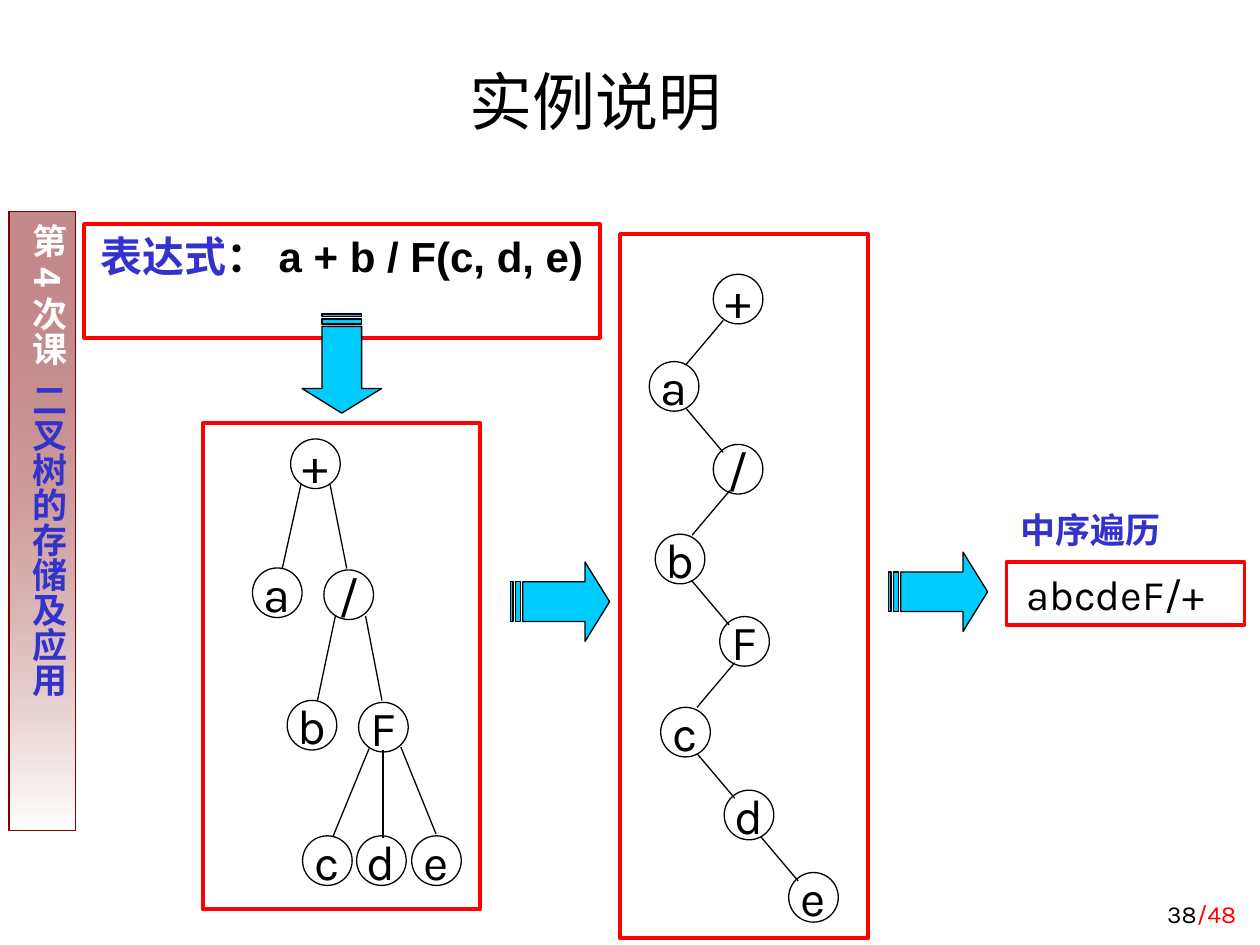
"""Build a slide on traversing an expression tree in its binary form."""
from dataclasses import dataclass

from lxml import etree
from pptx import Presentation
from pptx.dml.color import RGBColor
from pptx.enum.shapes import MSO_CONNECTOR, MSO_SHAPE
from pptx.enum.text import MSO_ANCHOR, PP_ALIGN
from pptx.oxml.ns import qn
from pptx.util import Cm, Pt

RECTANGLE = MSO_SHAPE.RECTANGLE
ELLIPSE = MSO_SHAPE.OVAL
STRIPED_ARROW = MSO_SHAPE.STRIPED_RIGHT_ARROW
STRAIGHT = MSO_CONNECTOR.STRAIGHT
TOP, MIDDLE, BOTTOM = MSO_ANCHOR.TOP, MSO_ANCHOR.MIDDLE, MSO_ANCHOR.BOTTOM
LEFT, CENTER, RIGHT = PP_ALIGN.LEFT, PP_ALIGN.CENTER, PP_ALIGN.RIGHT


@dataclass(frozen=True)
class Theme:
    """Colours, fonts and sizes of the slide."""

    black: str = "000000"
    white: str = "FFFFFF"
    red: str = "FF0000"
    blue: str = "3333CC"
    cyan: str = "00CCFF"
    maroon: str = "800000"
    body: str = "Karla"
    formula: str = "Arial"
    chinese: str = "Noto Sans CJK SC"
    title_size: int = 36
    node_size: int = 28
    text_size: int = 24
    label_size: int = 20
    number_size: int = 14
    thin: float = 0.75
    thick: float = 2.25
    node: float = 1.0
    insets: tuple = (0.25, 0.13, 0.25, 0.13)


class SlideBuilder:
    """Hold the theme and the current slide, and draw each kind of element."""

    def __init__(self, slide, theme):
        self.slide = slide
        self.theme = theme

    def set_text(self, shape, runs, size, name=None, bold=False, align=CENTER,
                 anchor=TOP, insets=None, wrap=True, before=0):
        """Fill a shape with one paragraph of (text, colour) runs."""
        frame = shape.text_frame
        frame.word_wrap = wrap
        frame.vertical_anchor = anchor
        margins = self.theme.insets if insets is None else insets
        (frame.margin_left, frame.margin_top,
         frame.margin_right, frame.margin_bottom) = map(Cm, margins)
        paragraph = frame.paragraphs[0]
        paragraph.alignment = align
        paragraph.space_before = Pt(before)
        paragraph.font.name = name or self.theme.body
        paragraph.font.size = Pt(size)
        paragraph.font.bold = bold
        latin = paragraph._p.find(".//" + qn("a:latin"))
        east_asian = etree.Element(qn("a:ea"), typeface=self.theme.chinese)
        latin.addnext(east_asian)
        for text, color in runs:
            run = paragraph.add_run()
            run.text = text
            run.font.color.rgb = RGBColor.from_string(color)
        return paragraph

    def title(self, text, box):
        """Move and format the title placeholder."""
        shape = self.slide.shapes.title
        shape.left, shape.top, shape.width, shape.height = map(Cm, box)
        self.set_text(shape, [(text, self.theme.black)], self.theme.title_size,
                      anchor=BOTTOM)

    def text(self, runs, box, size, **style):
        """Add a text box."""
        shape = self.slide.shapes.add_textbox(*map(Cm, box))
        self.set_text(shape, runs, size, anchor=BOTTOM, **style)

    def shape(self, kind, box, line, width, fill=None):
        """Add an outlined shape, filled if a fill colour is given."""
        shape = self.slide.shapes.add_shape(kind, *map(Cm, box))
        shape.shadow.inherit = False
        shape.line.color.rgb = RGBColor.from_string(line)
        shape.line.width = Pt(width)
        if fill:
            shape.fill.solid()
            shape.fill.fore_color.rgb = RGBColor.from_string(fill)
        else:
            shape.fill.background()
        return shape

    def frame(self, box):
        """Add a red frame."""
        return self.shape(RECTANGLE, box, self.theme.red, self.theme.thick)

    def node(self, label, x, y):
        """Add a tree node centred on a point."""
        size = self.theme.node
        box = (x - size / 2, y - size / 2, size, size)
        shape = self.shape(ELLIPSE, box, self.theme.black, self.theme.thin)
        self.set_text(shape, [(label, self.theme.black)], self.theme.node_size,
                      anchor=MIDDLE, insets=(0, 0, 0, 0), wrap=False)

    def edge(self, *ends):
        """Add a tree edge from x, y to x, y."""
        line = self.slide.shapes.add_connector(STRAIGHT, *map(Cm, ends))
        line.line.color.rgb = RGBColor.from_string(self.theme.black)
        line.line.width = Pt(self.theme.thin)
        etree.SubElement(line._element.spPr, qn("a:effectLst"))

    def arrow(self, x, y, rotation=0):
        """Add a striped block arrow."""
        shape = self.shape(STRIPED_ARROW, (x, y, 2, 1.6), self.theme.black,
                           self.theme.thin, self.theme.cyan)
        shape.adjustments[0] = 0.5
        shape.adjustments[1] = 0.31
        shape.rotation = rotation

    def sidebar(self, lesson, topic, box):
        """Add the vertical banner that fades to white."""
        theme = self.theme
        shape = self.shape(RECTANGLE, box, theme.maroon, theme.thin)
        shape.fill.gradient()
        shape.fill.gradient_angle = 270
        for stop, color in zip(shape.fill.gradient_stops, (theme.maroon, theme.white)):
            stop.color.rgb = RGBColor.from_string(color)
        first_color = shape._element.spPr.find(".//" + qn("a:srgbClr"))
        etree.SubElement(first_color, qn("a:alpha"), val="46000")
        runs = [(lesson, theme.white), (" ", theme.white), (topic, theme.blue)]
        paragraph = self.set_text(shape, runs, theme.label_size, theme.chinese,
                                  bold=True, insets=(0.13, 0.25, 0.13, 0.25))
        paragraph.runs[1]._r.get_or_add_rPr().set("spc", "450")
        shape.text_frame._txBody.bodyPr.set("vert", "eaVert")


TREE_NODES = [
    ("+", 6.36, 9.35), ("a", 5.59, 11.95), ("/", 7.03, 11.99),
    ("b", 6.29, 14.62), ("F", 7.73, 14.66),
    ("c", 6.6, 17.35), ("d", 7.69, 17.35), ("e", 8.8, 17.35),
]
TREE_EDGES = [
    (6.07, 9.75, 5.69, 11.46), (6.65, 9.75, 6.99, 11.46),
    (6.76, 12.42, 6.4, 14.12), (7.37, 12.42, 7.7, 14.12),
    (7.44, 15.09, 6.71, 16.87), (8.08, 15.06, 8.79, 16.81),
    (7.72, 15.11, 7.72, 16.89),
]
BINARY_NODES = [
    ("+", 14.88, 6.03, -0.3), ("a", 13.59, 7.79, 0.23),
    ("/", 14.88, 9.46, -0.17), ("b", 13.71, 11.27, 0.23),
    ("F", 15.01, 12.93, -0.2), ("c", 13.82, 14.76, 0.23),
    ("d", 15.1, 16.43, 0.23), ("e", 16.4, 18.09, 0),
]


def main():
    """Build and save the slide."""
    theme = Theme()
    presentation = Presentation()
    presentation.slide_width, presentation.slide_height = Cm(25.4), Cm(19.05)
    slide = presentation.slides.add_slide(presentation.slide_layouts[5])
    builder = SlideBuilder(slide, theme)

    builder.sidebar("第4次课", "二叉树的存储及应用", (0.18, 4.27, 1.35, 12.47))
    builder.text([("38", theme.black), ("/48", theme.red)],
                 (19.89, 17.58, 5.28, 1.27), theme.number_size, align=RIGHT)
    builder.title("实例说明", (4.5, 0.91, 15, 2))
    expression = builder.frame((1.7, 4.52, 10.39, 2.29))
    builder.set_text(expression,
                     [("表达式", theme.blue), ("：a + b / F(c, d, e)", theme.black)],
                     theme.text_size, theme.formula, bold=True, before=15)

    for node in TREE_NODES:
        builder.node(*node)
    for ends in TREE_EDGES:
        builder.edge(*ends)
    builder.frame((4.09, 8.53, 5.59, 9.8))

    for label, x, y, offset in BINARY_NODES:
        builder.node(label, x, y)
        if offset:
            reach = 0.76 if offset > 0 else -0.76
            start_x, start_y = x + offset, y + 0.43
            builder.edge(start_x, start_y, start_x + reach, start_y + 0.9)
    builder.frame((12.5, 4.72, 5, 14.2))

    builder.arrow(5.89, 6.53, rotation=90)
    builder.arrow(10.29, 11.33)
    builder.arrow(17.91, 11.13)

    result = builder.frame((20.29, 11.33, 4.8, 1.27))
    builder.set_text(result, [("abcdeF/+", theme.black)], theme.text_size,
                     insets=(0.25, 0.13, 0.66, 0.13), before=15)
    builder.text([("中序遍历", theme.blue)], (20.32, 10.11, 3.33, 1.12),
                 theme.label_size, bold=True, align=LEFT, wrap=False)
    presentation.save("out.pptx")


if __name__ == "__main__":
    main()
